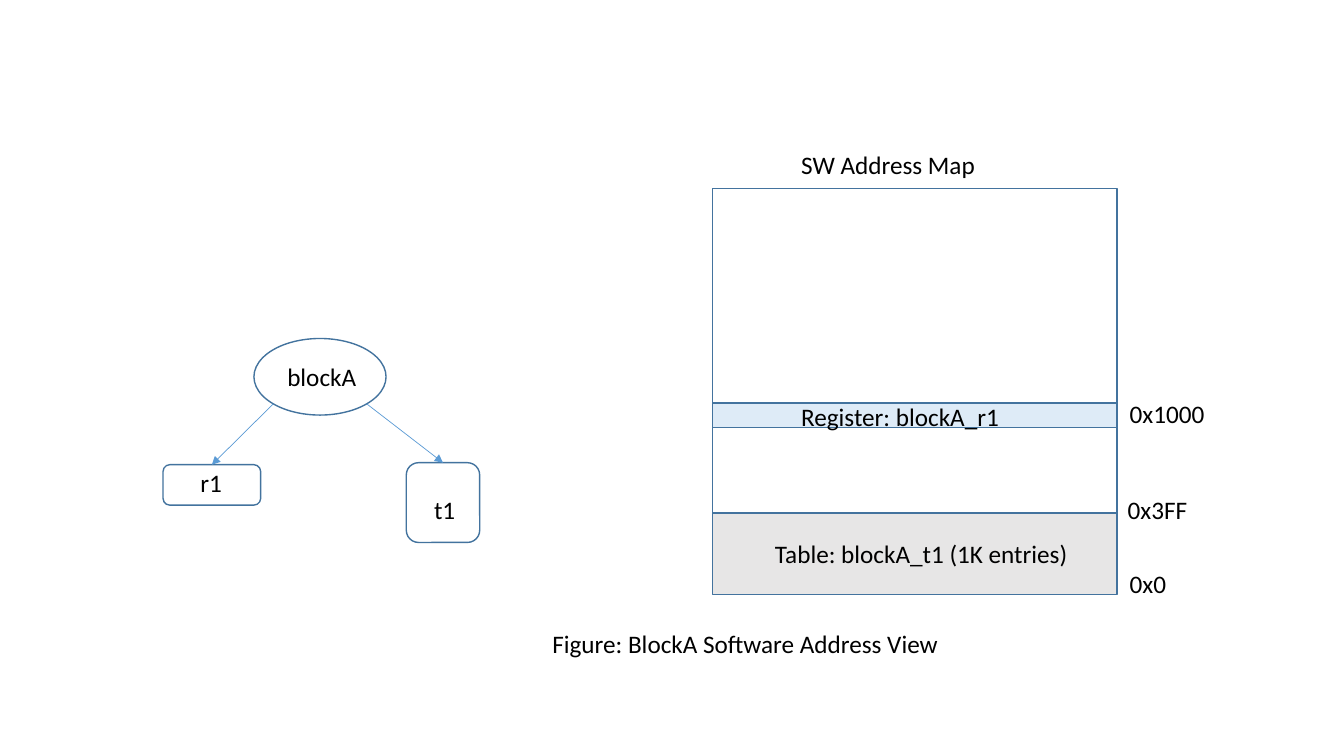
from dataclasses import dataclass
from math import sqrt

from pptx import Presentation
from pptx.dml.color import RGBColor
from pptx.enum.shapes import MSO_CONNECTOR, MSO_SHAPE
from pptx.enum.text import MSO_AUTO_SIZE
from pptx.oxml.ns import qn
from pptx.shapes.autoshape import Shape
from pptx.slide import Slide
from pptx.util import Cm, Pt

RECT = MSO_SHAPE.RECTANGLE
ROUND = MSO_SHAPE.ROUNDED_RECTANGLE
OVAL = MSO_SHAPE.OVAL
LINE = MSO_CONNECTOR.STRAIGHT
FIT = MSO_AUTO_SIZE.SHAPE_TO_FIT_TEXT


@dataclass(frozen=True)
class Theme:
    font: str = "Calibri"
    size: float = 18
    ink: str = "000000"
    edge: str = "43739E"
    arrow: str = "5B9BD5"
    table: str = "E7E6E6"
    register: str = "DEEBF7"
    edge_width: float = 1
    arrow_width: float = 0.5


@dataclass(frozen=True)
class Box:
    """Outlined shape, in centimetres; an empty fill is see-through."""
    kind: MSO_SHAPE
    left: float
    top: float
    width: float
    height: float
    fill: str = ""


@dataclass(frozen=True)
class Label:
    text: str
    left: float
    top: float
    width: float
    wrap: bool = False


THEME = Theme()
LABEL_HEIGHT = 1.02
MAP_LEFT, MAP_SIZE = 17.96, 10.19

REGIONS = [
    Box(RECT, MAP_LEFT, 4.75, MAP_SIZE, MAP_SIZE),
    Box(RECT, MAP_LEFT, 12.93, MAP_SIZE, 2.06, THEME.table),
    Box(RECT, MAP_LEFT, 10.16, MAP_SIZE, 0.61, THEME.register),
]
ROOT = Box(OVAL, 6.4, 8.53, 3.33, 1.93)
LEAVES = [
    Box(ROUND, 4.11, 11.71, 2.46, 1.02),
    Box(ROUND, 10.24, 11.66, 1.85, 2.01),
]
LABELS = [
    Label("SW Address Map", 19.94, 3.63, 4.93),
    Label("Register: blockA_r1", 19.94, 9.98, 5.56),
    Label("Table: blockA_t1 (1K entries)", 19.28, 13.44, 7.98),
    Label("0x1000", 28.22, 9.91, 2.41),
    Label("0x3FF", 28.17, 12.34, 2.03),
    Label("0x0", 28.22, 14.2, 1.45),
    Label("blockA", 6.99, 8.99, 2.26),
    Label("r1", 4.8, 11.66, 1.07),
    Label("t1", 10.69, 12.32, 1.04),
    Label("Figure: BlockA Software Address View", 13.67, 15.7, 11.58, True),
]


def color(code: str) -> RGBColor:
    return RGBColor.from_string(code)


def draw_box(slide: Slide, box: Box) -> Shape:
    shape = slide.shapes.add_shape(
        box.kind, Cm(box.left), Cm(box.top), Cm(box.width), Cm(box.height))
    shape.shadow.inherit = False
    if box.fill:
        shape.fill.solid()
        shape.fill.fore_color.rgb = color(box.fill)
    else:
        shape.fill.background()
    shape.line.color.rgb = color(THEME.edge)
    shape.line.width = Pt(THEME.edge_width)
    return shape


def draw_label(slide: Slide, label: Label) -> None:
    frame = slide.shapes.add_textbox(
        Cm(label.left), Cm(label.top), Cm(label.width), Cm(LABEL_HEIGHT)).text_frame
    frame.word_wrap = label.wrap
    frame.auto_size = FIT
    line = frame.paragraphs[0]
    line.text = label.text
    line.font.name = THEME.font
    line.font.size = Pt(THEME.size)
    line.font.color.rgb = color(THEME.ink)


def draw_arrow(slide: Slide, root: Box, leaf: Shape, side: int) -> None:
    """Run from the oval's lower diagonal (side -1 left, 1 right) to the leaf's top."""
    left = root.left + root.width / 2 * (1 + side / sqrt(2))
    top = root.top + root.height / 2 * (1 + 1 / sqrt(2))
    arrow = slide.shapes.add_connector(LINE, Cm(left), Cm(top), leaf.left, leaf.top)
    arrow.end_connect(leaf, 0)
    arrow.line.color.rgb = color(THEME.arrow)
    arrow.line.width = Pt(THEME.arrow_width)
    stroke = arrow.line._get_or_add_ln()
    stroke.append(stroke.makeelement(qn("a:tailEnd"), {"type": "triangle"}))
    props = arrow._element.spPr
    props.append(props.makeelement(qn("a:effectLst"), {}))


def main() -> None:
    deck = Presentation()
    deck.slide_width, deck.slide_height = Cm(33.87), Cm(19.05)
    slide = deck.slides.add_slide(deck.slide_layouts[6])
    for box in [*REGIONS, ROOT]:
        draw_box(slide, box)
    for side, box in zip((-1, 1), LEAVES):
        draw_arrow(slide, ROOT, draw_box(slide, box), side)
    for label in LABELS:
        draw_label(slide, label)
    deck.save("out.pptx")


if __name__ == "__main__":
    main()
